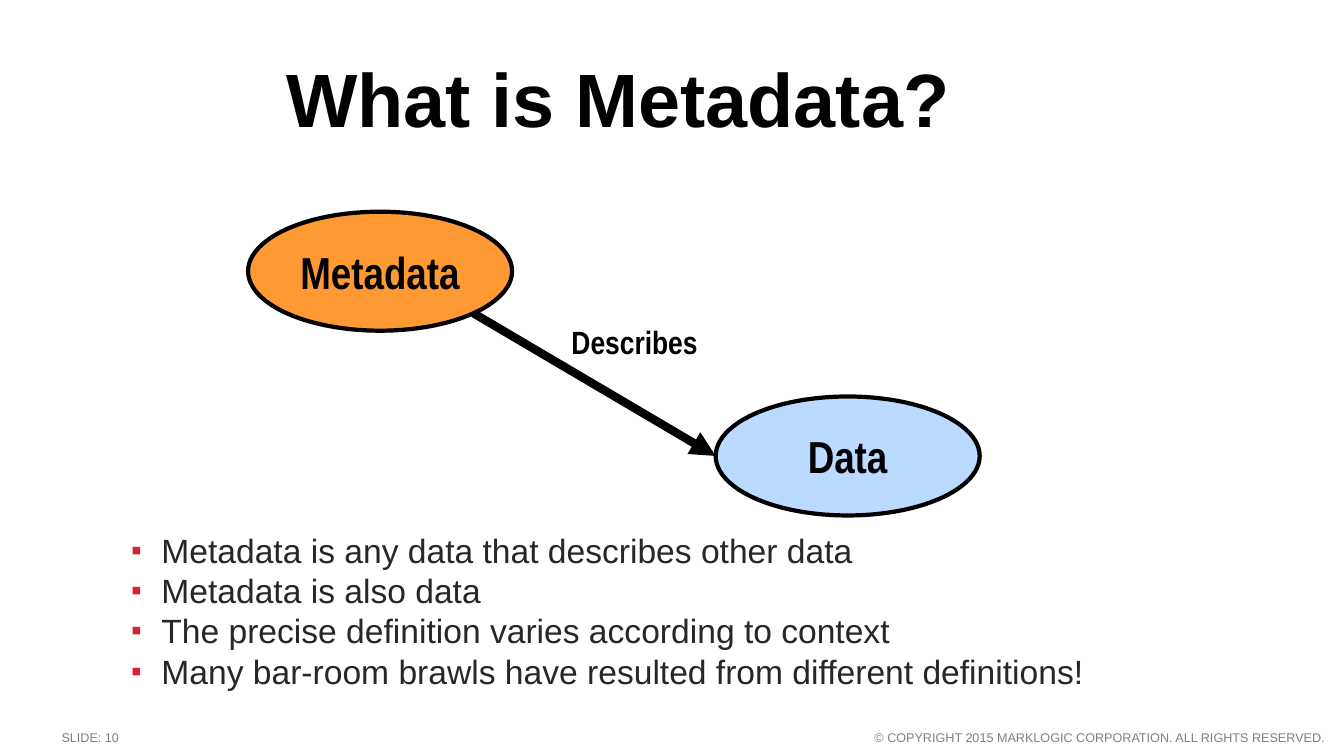
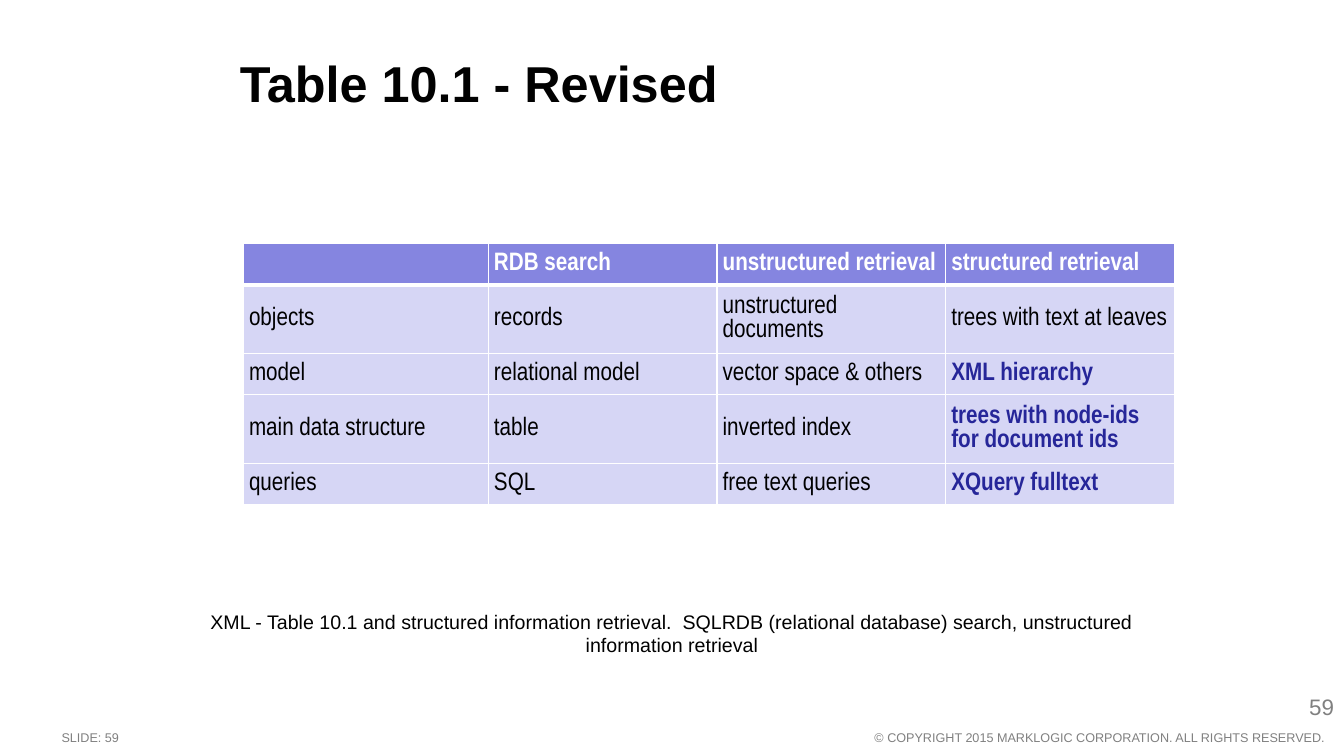
from collections import namedtuple
from dataclasses import dataclass
from math import sqrt

from pptx import Presentation
from pptx.dml.color import RGBColor
from pptx.enum.shapes import MSO_CONNECTOR as Connector, MSO_SHAPE as Shape
from pptx.enum.text import MSO_ANCHOR as Anchor, PP_ALIGN as Align
from pptx.oxml.ns import qn
from pptx.util import Pt
from lxml.etree import SubElement

Box = namedtuple("Box", "left top width height")
Style = namedtuple("Style", "size color font bold", defaults=("Arial", False))


@dataclass(frozen=True)
class Theme:
    ink: str = "010101"
    white: str = "FFFFFF"
    bullet: str = "D92231"
    metadata_fill: str = "FF9933"
    data_fill: str = "BBDAFF"
    header_fill: str = "8585E0"
    row_fill: str = "D6D6F5"
    title: Style = Style(54, "010101", bold=True)
    small_title: Style = Style(36, "010101", bold=True)
    body: Style = Style(24, "272727")
    node: Style = Style(32, "010101", "Arial Narrow", True)
    relation: Style = Style(23, "010101", "Arial Narrow", True)
    header: Style = Style(18, "FFFFFF", "Arial Narrow", True)
    cell: Style = Style(18, "000000", "Arial Narrow")
    revised: Style = Style(18, "262699", "Arial Narrow", True)
    caption: Style = Style(14, "010101")
    page: Style = Style(16, "808080")
    footer: Style = Style(9, "808080")
    title_leading: float = 58
    outline: float = 3
    arrow: float = 6


THEME = Theme()
PLACEHOLDER_INSETS = (9.36, 4.68)
NO_INSETS = (0, 0)
BOX_INSETS = (7.2, 3.6)
COPYRIGHT = "© COPYRIGHT 2015 MARKLOGIC CORPORATION. ALL RIGHTS RESERVED."
DEFINITIONS = (
    "Metadata is any data that describes other data",
    "Metadata is also data",
    "The precise definition varies according to context",
    "Many bar-room brawls have resulted from different definitions!",
)
COMPARISON = (
    ("", "RDB search", "unstructured retrieval", "structured retrieval"),
    ("objects", "records", "unstructured documents", "trees with text at leaves"),
    ("model", "relational model", "vector space & others", "XML hierarchy"),
    ("main data structure", "table", "inverted index",
     "trees with node-ids for document ids"),
    ("queries", "SQL", "free text queries", "XQuery fulltext"),
)
REVISED_CELLS = {(2, 3), (3, 3), (4, 3)}
CAPTION = ("XML - Table 10.1 and structured information retrieval.  SQLRDB "
           "(relational database) search, unstructured information retrieval")


def rgb(color):
    return RGBColor.from_string(color)


def points(box):
    return [Pt(length) for length in box]


def add_run(paragraph, text, style):
    run = paragraph.add_run()
    run.text = text
    run.font.size = Pt(style.size)
    run.font.name = style.font
    run.font.bold = style.bold
    run.font.color.rgb = rgb(style.color)


def set_insets(frame, insets):
    frame.margin_left = frame.margin_right = Pt(insets[0])
    frame.margin_top = frame.margin_bottom = Pt(insets[1])


def add_text(slide, box, lines, style, insets=BOX_INSETS, align=Align.LEFT):
    frame = slide.shapes.add_textbox(*points(box)).text_frame
    frame.word_wrap = True
    set_insets(frame, insets)
    for index, line in enumerate(lines):
        paragraph = frame.add_paragraph() if index else frame.paragraphs[0]
        paragraph.alignment = align
        add_run(paragraph, line, style)
    return frame


def add_title(slide, box, text, style):
    frame = add_text(slide, box, [text], style, PLACEHOLDER_INSETS)
    frame.paragraphs[0].line_spacing = Pt(THEME.title_leading)


def add_footer(slide, box, number):
    half = box.width / 2
    add_text(slide, box._replace(width=half), [f"SLIDE: {number}"],
             THEME.footer, NO_INSETS)
    add_text(slide, box._replace(left=box.left + half, width=half), [COPYRIGHT],
             THEME.footer, NO_INSETS, Align.RIGHT)


def add_bullets(slide, box, lines):
    frame = add_text(slide, box, lines, THEME.body, PLACEHOLDER_INSETS)
    for paragraph in frame.paragraphs:
        properties = paragraph._p.get_or_add_pPr()
        properties.set("marL", str(Pt(36)))
        properties.set("indent", str(Pt(-21.6)))
        color = SubElement(properties, qn("a:buClr"))
        SubElement(color, qn("a:srgbClr"), val=THEME.bullet)
        SubElement(properties, qn("a:buSzPct"), val="90000")
        SubElement(properties, qn("a:buFont"), typeface="Arial")
        SubElement(properties, qn("a:buChar"), char="▪")


def add_node(slide, box, text, fill):
    node = slide.shapes.add_shape(Shape.OVAL, *points(box))
    node.shadow.inherit = False
    node.fill.solid()
    node.fill.fore_color.rgb = rgb(fill)
    node.line.color.rgb = rgb(THEME.ink)
    node.line.width = Pt(THEME.outline)
    frame = node.text_frame
    frame.word_wrap = False
    frame.vertical_anchor = Anchor.MIDDLE
    set_insets(frame, (7.2, 7.2))
    frame.paragraphs[0].alignment = Align.CENTER
    add_run(frame.paragraphs[0], text, THEME.node)


def add_arrow(slide, start, end):
    arrow = slide.shapes.add_connector(
        Connector.STRAIGHT, *points(start), *points(end))
    arrow.line.color.rgb = rgb(THEME.ink)
    arrow.line.width = Pt(THEME.arrow)
    SubElement(arrow.line._get_or_add_ln(), qn("a:tailEnd"), type="triangle")
    SubElement(arrow._element.spPr, qn("a:effectLst"))


def add_relation_diagram(slide, box):
    width, height = 188.6, 85
    metadata = Box(box.left, box.top, width, height)
    data = Box(box.left + box.width - width, box.top + box.height - height,
               width, height)
    diagonal = (1 + sqrt(0.5)) / 2
    add_node(slide, metadata, "Metadata", THEME.metadata_fill)
    add_node(slide, data, "Data", THEME.data_fill)
    add_arrow(slide,
              (metadata.left + width * diagonal, metadata.top + height * diagonal),
              (data.left, data.top + height / 2))
    add_text(slide, Box(box.left + 231, box.top + 79.2, 108.7, 28.8),
             ["Describes"], THEME.relation, NO_INSETS)


def set_borders(cell, widths):
    properties = cell._tc.get_or_add_tcPr()
    for side, width in zip(("lnL", "lnR", "lnT", "lnB"), widths):
        line = SubElement(properties, qn(f"a:{side}"), w=str(Pt(width)))
        fill = SubElement(line, qn("a:solidFill"))
        SubElement(fill, qn("a:srgbClr"), val=THEME.white)


def cell_style(row, column):
    if row == 0:
        return THEME.header
    return THEME.revised if (row, column) in REVISED_CELLS else THEME.cell


def add_comparison(slide, box, rows):
    first_column = 175
    other_column = (box.width - first_column) / (len(rows[0]) - 1)
    table = slide.shapes.add_table(len(rows), len(rows[0]), *points(box)).table
    table.horz_banding = False
    for index, column in enumerate(table.columns):
        column.width = Pt(other_column if index else first_column)
    for row, texts in enumerate(rows):
        table.rows[row].height = Pt(box.height / len(rows))
        for column, text in enumerate(texts):
            cell = table.cell(row, column)
            cell.vertical_anchor = Anchor.MIDDLE
            set_insets(cell, (4.1, 2.9))
            set_borders(cell, (1, 1, 3 if row == 1 else 1, 1 if row else 3))
            cell.fill.solid()
            cell.fill.fore_color.rgb = rgb(
                THEME.row_fill if row else THEME.header_fill)
            if text:
                add_run(cell.text_frame.paragraphs[0], text,
                        cell_style(row, column))


def new_slide(deck, number):
    slide = deck.slides.add_slide(deck.slide_layouts[6])
    add_footer(slide, Box(44, 521.6, 902, 14), number)
    return slide


def build_metadata_slide(deck):
    slide = new_slide(deck, 10)
    add_title(slide, Box(195, 39, 696, 76), "What is Metadata?", THEME.title)
    add_bullets(slide, Box(70, 373.7, 870, 140), DEFINITIONS)
    add_relation_diagram(slide, Box(177.2, 151.2, 522.6, 217))


def build_table_slide(deck):
    slide = new_slide(deck, 59)
    add_title(slide, Box(162, 18, 575, 76), "Table 10.1 - Revised",
              THEME.small_title)
    add_comparison(slide, Box(173.8, 174.2, 665, 147), COMPARISON)
    add_text(slide, Box(903.6, 491.8, 56.4, 36), ["59"], THEME.page,
             align=Align.RIGHT)
    add_text(slide, Box(120, 432, 720, 41), [CAPTION], THEME.caption,
             align=Align.CENTER)


def main():
    deck = Presentation()
    deck.slide_width, deck.slide_height = Pt(960), Pt(540)
    build_metadata_slide(deck)
    build_table_slide(deck)
    deck.save("out.pptx")


if __name__ == "__main__":
    main()
